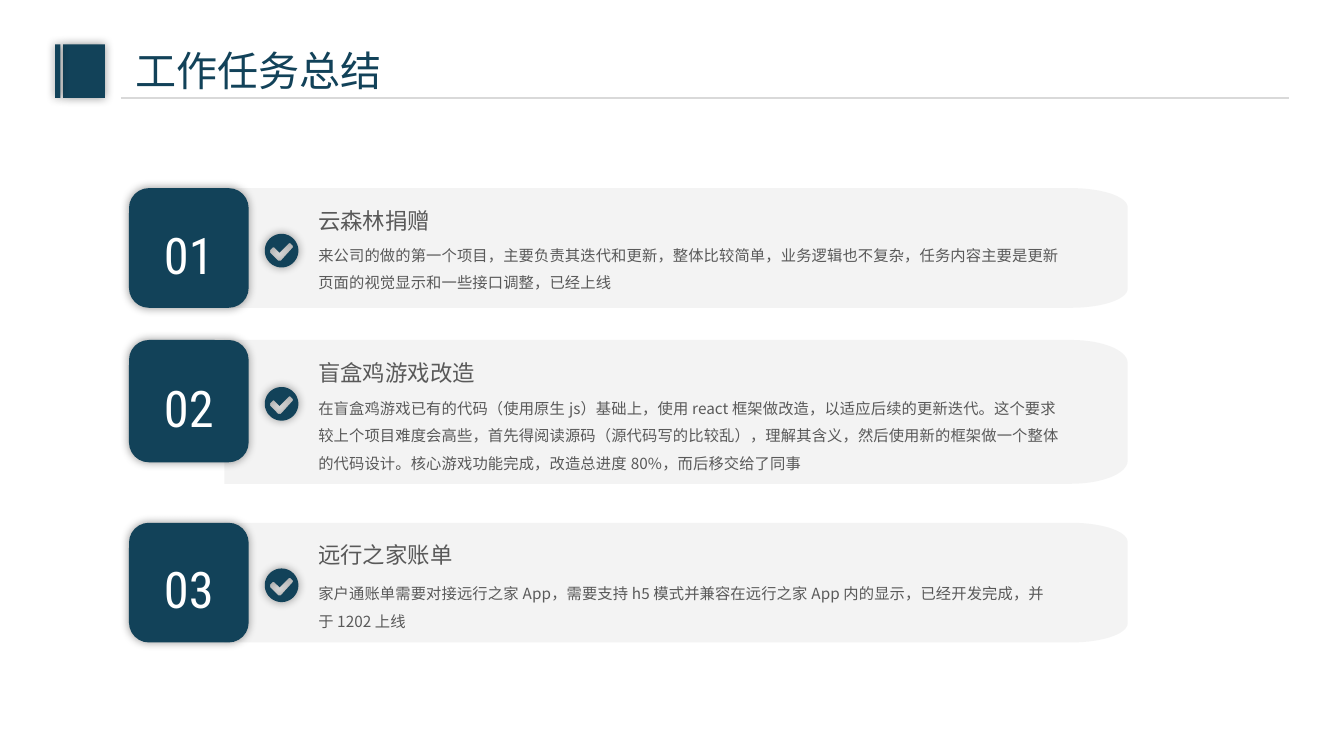
from dataclasses import dataclass
from math import cos, radians, sin

from lxml.etree import SubElement
from pptx import Presentation
from pptx.dml.color import RGBColor
from pptx.enum.shapes import MSO_CONNECTOR, MSO_SHAPE
from pptx.enum.text import MSO_ANCHOR, MSO_AUTO_SIZE, PP_ALIGN
from pptx.oxml.ns import qn
from pptx.util import Inches, Pt


@dataclass
class Theme:
    navy: str = "124259"
    card: str = "F2F2F2"
    rule: str = "D9D9D9"
    grey: str = "595959"
    white: str = "FFFFFF"
    shadow: str = "000000"
    cjk: str = "Noto Sans CJK SC"
    digits: str = "Roboto Condensed"
    title: float = 22
    number: float = 27
    heading: float = 12
    body: float = 8.25


theme = Theme()


def paint(sp, color, alpha=100, shadow=True):
    sp.fill.solid()
    sp.fill.fore_color.rgb = RGBColor.from_string(color)
    sp.line.fill.background()
    sp.shadow.inherit = False
    spPr = sp._element.spPr
    if alpha < 100:
        clr = spPr.find(qn("a:solidFill"))[0]
        SubElement(clr, qn("a:alpha"), val=str(alpha * 1000))
    if shadow:
        outer = SubElement(spPr.find(qn("a:effectLst")), qn("a:outerShdw"),
                           blurRad=str(Pt(5)), dist="0", dir="0", algn="ctr", rotWithShape="0")
        clr = SubElement(outer, qn("a:srgbClr"), val=theme.shadow)
        SubElement(clr, qn("a:alpha"), val="40000")


def write(sp, text, size, color, font, spacing=1.0, align=PP_ALIGN.LEFT):
    tf = sp.text_frame
    tf.text = text
    tf.word_wrap = True
    tf.auto_size = MSO_AUTO_SIZE.NONE
    p = tf.paragraphs[0]
    p.alignment = align
    p.line_spacing = spacing
    r = p.runs[0]
    r.font.size = Pt(size)
    r.font.color.rgb = RGBColor.from_string(color)
    r.font.name = font
    SubElement(r.font._element, qn("a:ea"), typeface=font)


prs = Presentation()
prs.slide_width, prs.slide_height = Inches(10), Inches(10 * 9 / 16)
s = prs.slides.add_slide(prs.slide_layouts[5])

title = s.shapes.title
title.left, title.top, title.width, title.height = map(Inches, (0.91, 0.29, 3.15, 0.47))
write(title, "工作任务总结", theme.title, theme.navy, theme.cjk)
title.text_frame.vertical_anchor = MSO_ANCHOR.TOP

tasks = [
    (1.4, 0.89, 0.89, 1.74, 1.71, 5.8, "云森林捐赠",
     "来公司的做的第一个项目，主要负责其迭代和更新，整体比较简单，业务逻辑也不复杂，"
     "任务内容主要是更新页面的视觉显示和一些接口调整，已经上线"),
    (2.53, 1.07, 0.91, 2.88, 2.85, 5.72, "盲盒鸡游戏改造",
     "在盲盒鸡游戏已有的代码（使用原生 js）基础上，使用 react 框架做改造，以适应后续的更新迭代。"
     "这个要求较上个项目难度会高些，首先得阅读源码（源代码写的比较乱），理解其含义，"
     "然后使用新的框架做一个整体的代码设计。核心游戏功能完成，改造总进度 80%，而后移交给了同事"),
    (3.89, 0.89, 0.89, 4.23, 4.23, 5.64, "远行之家账单",
     "家户通账单需要对接远行之家 App，需要支持 h5 模式并兼容在远行之家 App 内的显示，"
     "已经开发完成，并于 1202 上线"),
]
tick = [(0.21, 0.09), (0.19, 0.07), (0.18, 0.07), (0.11, 0.14), (0.07, 0.1), (0.06, 0.1),
        (0.04, 0.12), (0.04, 0.14), (0.1, 0.2), (0.12, 0.2), (0.21, 0.1)]
angles = [radians(a) for a in range(0, 91, 6)]
circle = [(0.125 + 0.125 * cos(radians(a)), 0.125 + 0.125 * sin(radians(a))) for a in range(0, 360, 6)]

for n, (top, height, box_height, icon_top, body_top, body_width, heading, body) in enumerate(tasks, 1):
    ry = 0.16 * height
    card = [(0, 0)]
    card += [(6.3 + 0.42 * sin(a), ry - ry * cos(a)) for a in angles]
    card += [(6.3 + 0.42 * cos(a), height - ry + ry * sin(a)) for a in angles]
    card += [(0, height)]

    for x, y, contours, color, alpha, shadow in (
        (1.67, top, [card], theme.card, 90, False),
        (1.97, icon_top, [circle, tick], theme.navy, 100, True),
    ):
        fb = None
        for contour in contours:
            points = [(Inches(x + dx), Inches(y + dy)) for dx, dy in contour]
            if fb is None:
                fb = s.shapes.build_freeform(*points[0])
            else:
                fb.move_to(*points[0])
            fb.add_line_segments(points[1:], close=True)
        paint(fb.convert_to_shape(), color, alpha, shadow)

    box = s.shapes.add_shape(MSO_SHAPE.ROUNDED_RECTANGLE, Inches(0.96), Inches(top), Inches(0.89), Inches(box_height))
    paint(box, theme.navy)
    write(box, f"{n:02}", theme.number, theme.white, theme.digits, 1.2, PP_ALIGN.CENTER)
    tf = box.text_frame
    tf.vertical_anchor = MSO_ANCHOR.MIDDLE
    tf.margin_left = tf.margin_right = tf.margin_top = tf.margin_bottom = 0

    tb = s.shapes.add_textbox(Inches(2.27), Inches(top + 0.09), Inches(2.1), Inches(0.3))
    write(tb, heading, theme.heading, theme.grey, theme.cjk)
    tb = s.shapes.add_textbox(Inches(2.27), Inches(body_top), Inches(body_width), Inches(height - 0.37))
    write(tb, body, theme.body, theme.grey, theme.cjk, 1.5)

sp = s.shapes.add_shape(MSO_SHAPE.RECTANGLE, Inches(0.47), Inches(0.33), Inches(0.31), Inches(0.4))
paint(sp, theme.navy)

rule = s.shapes.add_connector(MSO_CONNECTOR.STRAIGHT, Inches(0.9), Inches(0.73), Inches(9.59), Inches(0.73))
rule.line.color.rgb = RGBColor.from_string(theme.rule)
rule.line.width = Pt(1.5)
SubElement(rule._element.spPr, qn("a:effectLst"))

sp = s.shapes.add_shape(MSO_SHAPE.RECTANGLE, Inches(0.41), Inches(0.33), Inches(0.04), Inches(0.4))
paint(sp, theme.navy)

prs.save("out.pptx")
